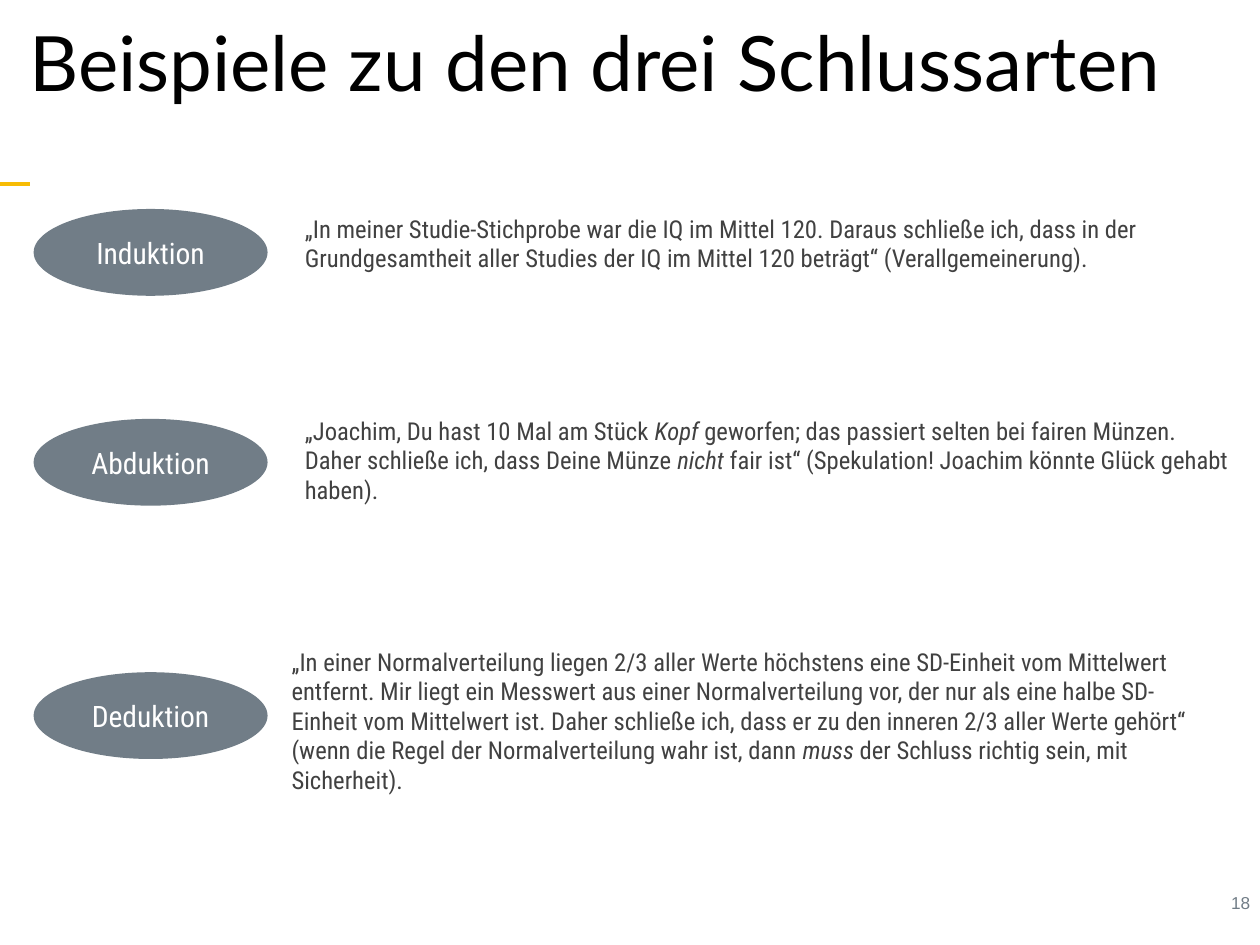
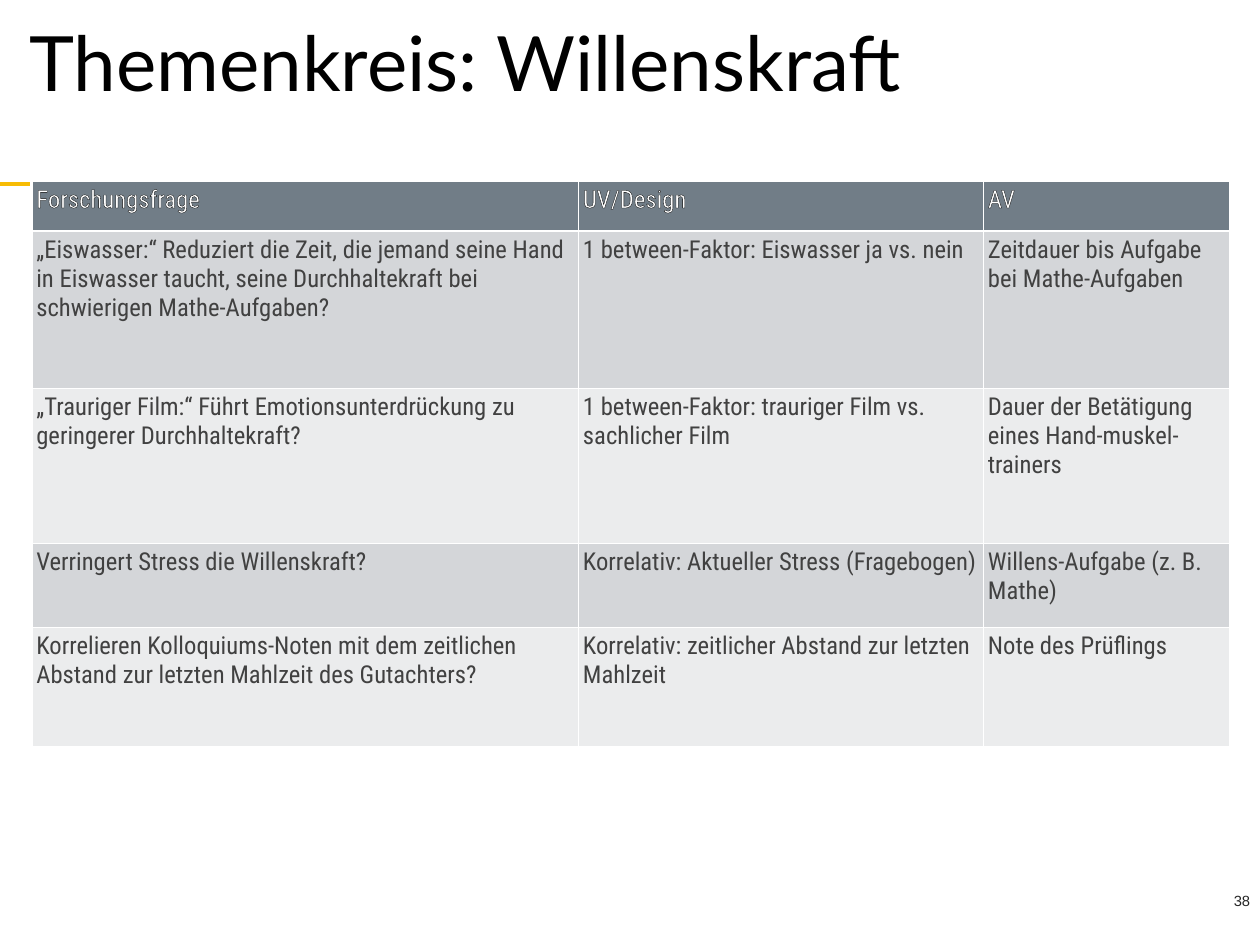
from lxml import etree
from pptx import Presentation
from pptx import util as u
from pptx.dml.color import RGBColor
from pptx.enum import shapes, text
from pptx.oxml.ns import qn

# Shared look
WIDTH, HEIGHT = 14.22, 10.67
BLACK = RGBColor(0x00, 0x00, 0x00)
WHITE = RGBColor(0xFF, 0xFF, 0xFF)
YELLOW = RGBColor(0xF7, 0xBC, 0x05)
SLATE = RGBColor(0x71, 0x7D, 0x87)
INK = RGBColor(0x41, 0x41, 0x41)
NEAR_BLACK = RGBColor(0x26, 0x26, 0x26)
BANDS = (RGBColor(0xD4, 0xD6, 0xD9), RGBColor(0xEB, 0xEC, 0xED))
TITLE_FONT, BODY_FONT, NUMBER_FONT = "Lato", "Roboto Condensed", "Arial"
INSET = 0.07

# Content: label, ellipse top, text left, text top, text height, text (*italic*)
EXAMPLES = [
    ("Induktion", 2.36, 3.37, 2.34, 0.81,
     "„In meiner Studie-Stichprobe war die IQ im Mittel 120. Daraus schließe ich, "
     "dass in der Grundgesamtheit aller Studies der IQ im Mittel 120 beträgt“ "
     "(Verallgemeinerung)."),
    ("Abduktion", 4.73, 3.37, 4.62, 1.14,
     "„Joachim, Du hast 10 Mal am Stück *Kopf* geworfen; das passiert selten bei "
     "fairen Münzen. Daher schließe ich, dass Deine Münze *nicht* fair ist“ "
     "(Spekulation! Joachim könnte Glück gehabt haben)."),
    ("Deduktion", 7.59, 3.22, 7.23, 1.81,
     "„In einer Normalverteilung liegen 2/3 aller Werte höchstens eine SD-Einheit "
     "vom Mittelwert entfernt. Mir liegt ein Messwert aus einer Normalverteilung "
     "vor, der nur als eine halbe SD-Einheit vom Mittelwert ist. Daher schließe "
     "ich, dass er zu den inneren 2/3 aller Werte gehört“ (wenn die Regel der "
     "Normalverteilung wahr ist, dann *muss* der Schluss richtig sein, mit "
     "Sicherheit)."),
]
STUDIES = [
    ("Forschungsfrage", "UV/Design", "AV"),
    ("„Eiswasser:“ Reduziert die Zeit, die jemand seine Hand in Eiswasser taucht, "
     "seine Durchhaltekraft bei schwierigen Mathe-Aufgaben?",
     "1 between-Faktor: Eiswasser ja vs. nein",
     "Zeitdauer bis Aufgabe bei Mathe-Aufgaben"),
    ("„Trauriger Film:“ Führt Emotionsunterdrückung zu geringerer Durchhaltekraft?",
     "1 between-Faktor: trauriger Film vs. sachlicher Film",
     "Dauer der Betätigung eines Hand-muskel-trainers"),
    ("Verringert Stress die Willenskraft?",
     "Korrelativ: Aktueller Stress (Fragebogen)",
     "Willens-Aufgabe (z. B. Mathe)"),
    ("Korrelieren Kolloquiums-Noten mit dem zeitlichen Abstand zur letzten Mahlzeit "
     "des Gutachters?",
     "Korrelativ: zeitlicher Abstand zur letzten Mahlzeit",
     "Note des Prüflings"),
]
COLUMN_WIDTHS = (6.17, 4.57, 2.77)
ROW_HEIGHTS = (0.57, 1.77, 1.75, 0.95, 1.35)


def inches(*lengths):
    return [u.Inches(length) for length in lengths]


def set_insets(frame, inset=INSET):
    frame.margin_left = frame.margin_right = u.Inches(inset)
    frame.margin_top = frame.margin_bottom = u.Inches(inset)


def style(paragraph, name, size, color, align=text.PP_ALIGN.LEFT):
    paragraph.alignment = align
    font = paragraph.font
    font.name, font.size, font.bold = name, u.Pt(size), False
    font.color.rgb = color


def line_element(tag, color, points):
    line = etree.Element(qn(tag), w=str(u.Pt(points)))
    fill = etree.SubElement(line, qn("a:solidFill"))
    etree.SubElement(fill, qn("a:srgbClr"), val=str(color))
    return line


def write_body(paragraph, words, color):
    """Outlined body text; words between asterisks are italic."""
    for index, part in enumerate(words.split("*")):
        run = paragraph.add_run()
        run.text = part
        if index % 2:
            run.font.italic = True
        run._r.get_or_add_rPr().insert(0, line_element("a:ln", BLACK, 0))
    style(paragraph, BODY_FONT, 20, color)


def add_text_box(slide, left, top, width, height):
    box = slide.shapes.add_textbox(*inches(left, top, width, height))
    frame = box.text_frame
    frame.word_wrap = True
    set_insets(frame)
    return frame


def add_base_slide(presentation, title, number, number_size, number_color):
    slide = presentation.slides.add_slide(presentation.slide_layouts[5])

    # Accent rule at the left edge
    rule = slide.shapes.add_connector(
        shapes.MSO_CONNECTOR.STRAIGHT, *inches(0, 2.08, 0.34, 2.08))
    rule.line.color.rgb, rule.line.width = YELLOW, u.Pt(3)
    etree.SubElement(rule._element.spPr, qn("a:effectLst"))

    # Title
    holder = slide.shapes.title
    holder.left, holder.top, holder.width, holder.height = inches(
        0, -0.02, WIDTH, 1.55)
    frame = holder.text_frame
    frame.text = title
    frame.word_wrap = True
    frame.auto_size = text.MSO_AUTO_SIZE.NONE
    frame.vertical_anchor = text.MSO_ANCHOR.MIDDLE
    set_insets(frame, 0.05)
    paragraph = frame.paragraphs[0]
    paragraph.line_spacing = 0.9
    properties = paragraph._p.get_or_add_pPr()
    for indent in ("marL", "indent"):
        properties.set(indent, str(u.Inches(0.14)))
    style(paragraph, TITLE_FONT, 62, BLACK)

    # Slide number
    paragraph = add_text_box(slide, 11.81, 10, 2.37, 0.35).paragraphs[0]
    paragraph.text = number
    style(paragraph, NUMBER_FONT, number_size, number_color, text.PP_ALIGN.RIGHT)
    return slide


def add_example(slide, label, ellipse_top, left, top, height, words):
    ellipse = slide.shapes.add_shape(
        shapes.MSO_SHAPE.OVAL, *inches(0.38, ellipse_top, 2.64, 0.98))
    ellipse.shadow.inherit = False
    ellipse.fill.solid()
    ellipse.fill.fore_color.rgb = SLATE
    ellipse.line.fill.background()
    frame = ellipse.text_frame
    frame.text = label
    frame.vertical_anchor = text.MSO_ANCHOR.MIDDLE
    set_insets(frame)
    style(frame.paragraphs[0], BODY_FONT, 24, WHITE, text.PP_ALIGN.CENTER)

    frame = add_text_box(slide, left, top, 10.61, height)
    frame.auto_size = text.MSO_AUTO_SIZE.SHAPE_TO_FIT_TEXT
    write_body(frame.paragraphs[0], words, INK)


def add_study_table(slide):
    table = slide.shapes.add_table(
        len(STUDIES), len(COLUMN_WIDTHS),
        *inches(0.36, 2.04, sum(COLUMN_WIDTHS), sum(ROW_HEIGHTS))).table
    for column, width in zip(table.columns, COLUMN_WIDTHS):
        column.width = u.Inches(width)
    for row_index, (row, height) in enumerate(zip(table.rows, ROW_HEIGHTS)):
        row.height = u.Inches(height)
        header = row_index == 0
        borders = {"L": 0.25, "R": 0.25,
                   "T": 2 if row_index == 1 else 0.25,
                   "B": 2 if header else 0.25}
        for cell, words in zip(row.cells, STUDIES[row_index]):
            set_insets(cell, 0.05)
            properties = cell._tc.get_or_add_tcPr()
            for side, points in borders.items():
                properties.append(line_element("a:ln" + side, WHITE, points))
            cell.fill.solid()
            cell.fill.fore_color.rgb = SLATE if header else BANDS[(row_index - 1) % 2]
            write_body(cell.text_frame.paragraphs[0], words, WHITE if header else INK)


def main():
    presentation = Presentation()
    presentation.slide_width, presentation.slide_height = inches(WIDTH, HEIGHT)

    # Slide 1: one example for each kind of inference
    slide = add_base_slide(
        presentation, "Beispiele zu den drei Schlussarten", "18", 14, SLATE)
    for example in EXAMPLES:
        add_example(slide, *example)

    # Slide 2: research questions and designs
    slide = add_base_slide(
        presentation, "Themenkreis: Willenskraft", "38", 12, NEAR_BLACK)
    add_study_table(slide)

    presentation.save("out.pptx")


if __name__ == "__main__":
    main()
